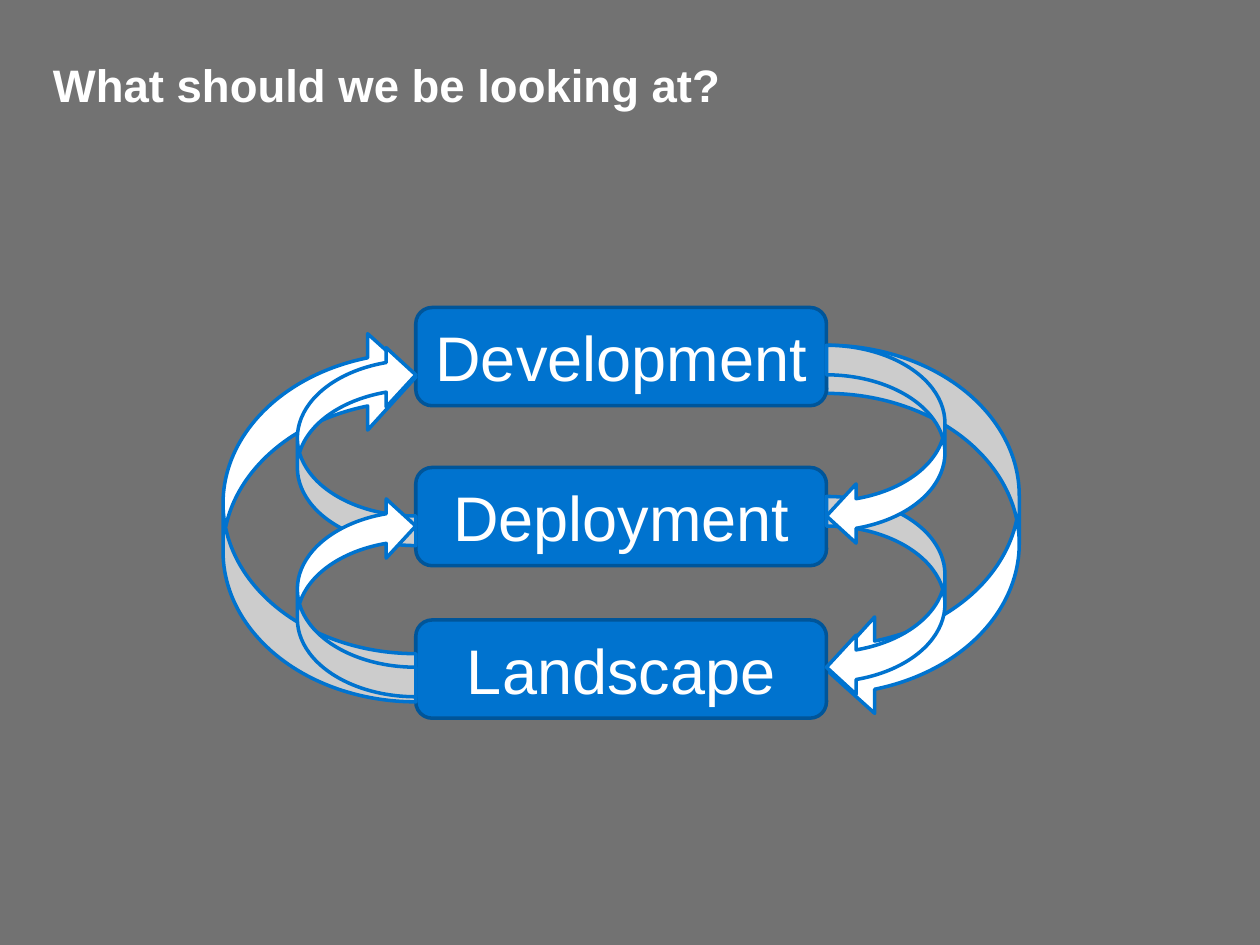
import pptx
import pptx.util
import pptx.dml.color
import pptx.enum.shapes
import pptx.enum.text

PX = 9144
COLORS = {"bg": "727272", "white": "FFFFFF", "blue": "0073CF", "edge": "005599"}
SHAPES = pptx.enum.shapes.MSO_SHAPE
ALIGN = pptx.enum.text.PP_ALIGN
MIDDLE = pptx.enum.text.MSO_ANCHOR.MIDDLE

BOX_LEFT, BOX_WIDTH, BOX_HEIGHT = 330, 326, 78
BOX_RIGHT = BOX_LEFT + BOX_WIDTH
LONG_ARROW = (153, 296)
SHORT_ARROW = (94, 159)


def rgb(name):
    return pptx.dml.color.RGBColor.from_string(COLORS[name])


def px(*values):
    return [pptx.util.Emu(v * PX) for v in values]


def write(sp, text, size, bold, align, margin):
    tf = sp.text_frame
    frame_format = {"word_wrap": True, "vertical_anchor": MIDDLE}
    for side in ("left", "right", "top", "bottom"):
        frame_format[f"margin_{side}"] = pptx.util.Emu(margin * PX)
    for name, value in frame_format.items():
        setattr(tf, name, value)
    p = tf.paragraphs[0]
    p.alignment = align
    r = p.add_run()
    r.text = text
    font_format = {"name": "Arial", "size": pptx.util.Pt(size), "bold": bold}
    for name, value in font_format.items():
        setattr(r.font, name, value)
    r.font.color.rgb = rgb("white")


def add_title(s, text):
    sp = s.shapes.add_textbox(*px(42, 44, 916, 46))
    write(sp, text, 26, True, ALIGN.LEFT, 0)


def add_filled(s, kind, bounds, fill, line):
    sp = s.shapes.add_shape(kind, *px(*bounds))
    sp.shadow.inherit = False
    sp.fill.solid()
    sp.fill.fore_color.rgb = rgb(fill)
    sp.line.color.rgb = rgb(line)
    sp.line.width = pptx.util.Pt(2)
    return sp


def add_stage(s, text, top):
    bounds = (BOX_LEFT, top, BOX_WIDTH, BOX_HEIGHT)
    sp = add_filled(s, SHAPES.ROUNDED_RECTANGLE, bounds, "blue", "edge")
    write(sp, text, 36, False, ALIGN.CENTER, 5)


def add_arrow(s, top, size, upward=False):
    width, height = size
    left = BOX_LEFT - width if upward else BOX_RIGHT
    bounds = (left, top, width, height)
    sp = add_filled(s, SHAPES.CURVED_LEFT_ARROW, bounds, "white", "blue")
    sp.rotation = 180 if upward else 0


def main():
    prs = pptx.Presentation()
    prs.slide_width, prs.slide_height = px(1000, 750)
    s = prs.slides.add_slide(prs.slide_layouts[6])
    s.background.fill.solid()
    s.background.fill.fore_color.rgb = rgb("bg")

    add_arrow(s, 274, LONG_ARROW)
    add_title(s, "What should we be looking at?")
    stages = {"Development": 244, "Deployment": 371, "Landscape": 492}
    for text, top in stages.items():
        add_stage(s, text, top)
    for top in (394, 274):
        add_arrow(s, top, SHORT_ARROW)
    add_arrow(s, 261, LONG_ARROW, upward=True)
    for top in (274, 394):
        add_arrow(s, top, SHORT_ARROW, upward=True)

    prs.save("out.pptx")


if __name__ == "__main__":
    main()
